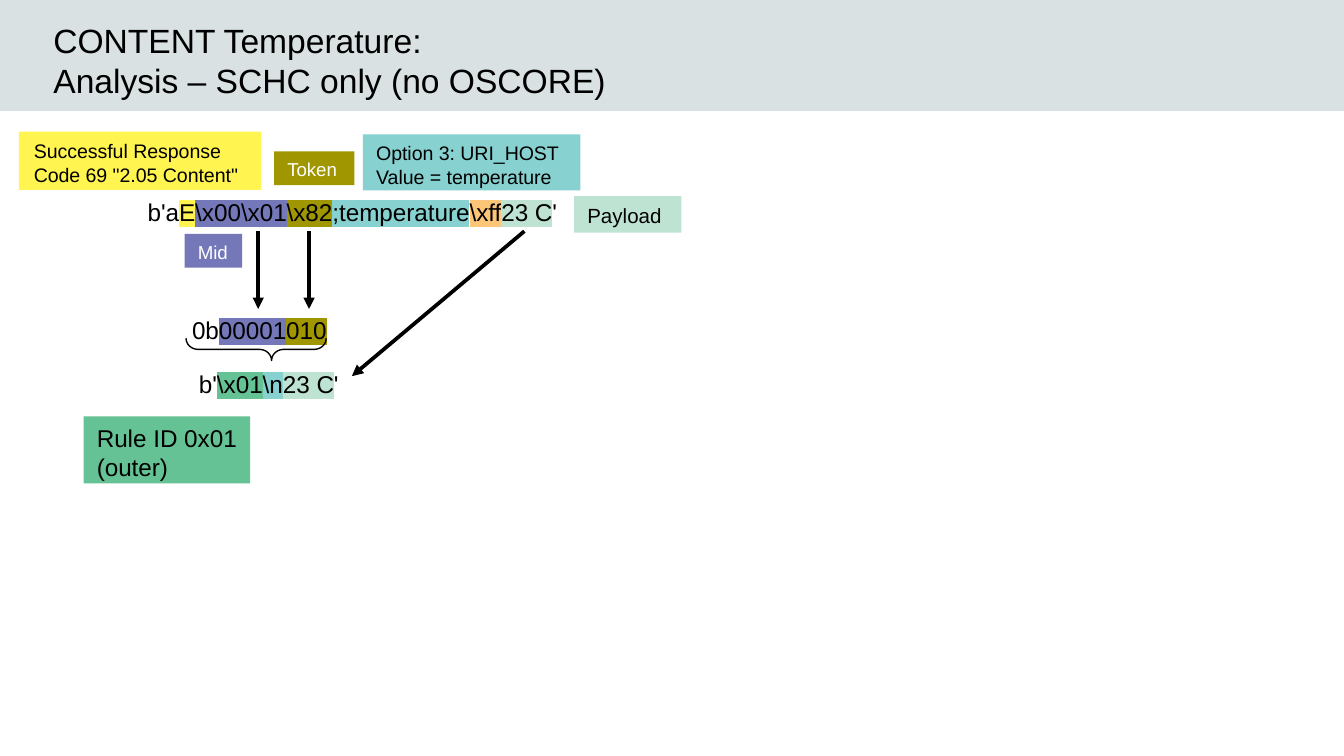
from lxml.etree import SubElement
from pptx import Presentation
from pptx.dml.color import RGBColor
from pptx.enum.shapes import MSO_CONNECTOR, MSO_SHAPE
from pptx.enum.text import MSO_ANCHOR, PP_ALIGN
from pptx.oxml.ns import qn
from pptx.util import Cm, Pt

BLACK = RGBColor(0x00, 0x00, 0x00)
WHITE = RGBColor(0xFF, 0xFF, 0xFF)
BAND = RGBColor(0xD9, 0xE1, 0xE2)
CODE = RGBColor(0xFF, 0xF4, 0x50)
MID = RGBColor(0x74, 0x77, 0xB8)
TOKEN = RGBColor(0xA0, 0x96, 0x00)
OPTION = RGBColor(0x87, 0xD1, 0xD1)
MARKER = RGBColor(0xFD, 0xC5, 0x78)
PAYLOAD = RGBColor(0xBE, 0xE3, 0xD3)
RULE = RGBColor(0x65, 0xC2, 0x95)

FONT = "Arial"


def place(box):
    return [Cm(length) for length in box]


def prepare_frame(shape, inset=0.25):
    frame = shape.text_frame
    frame.word_wrap = True
    frame.vertical_anchor = MSO_ANCHOR.TOP
    frame.margin_left = Cm(inset)
    frame.margin_right = 0
    frame.margin_top = frame.margin_bottom = Cm(inset / 2)
    return frame


def style_run(run, size, color=BLACK, highlight=None):
    run.font.size = Pt(size)
    run.font.color.rgb = color
    if highlight is not None:
        mark = SubElement(run.font._element, qn("a:highlight"))
        SubElement(mark, qn("a:srgbClr"), val=str(highlight))
    run.font.name = FONT


def write_lines(frame, text, size, color=BLACK):
    frame.text = text
    for paragraph in frame.paragraphs:
        paragraph.alignment = PP_ALIGN.LEFT
        for run in paragraph.runs:
            style_run(run, size, color)


def add_block(slide, box, fill):
    block = slide.shapes.add_shape(MSO_SHAPE.RECTANGLE, *place(box))
    block.shadow.inherit = False
    block.fill.solid()
    block.fill.fore_color.rgb = fill
    block.line.fill.background()
    return block


def add_label(slide, box, text, fill, size, color=BLACK, inset=0.25):
    label = add_block(slide, box, fill)
    write_lines(prepare_frame(label, inset), text, size, color)


def add_bytes(slide, box, pieces):
    """One line of bytes, each field highlighted in its own colour."""
    line = prepare_frame(slide.shapes.add_textbox(*place(box))).paragraphs[0]
    for text, highlight in pieces:
        run = line.add_run()
        run.text = text
        style_run(run, 13, highlight=highlight)


def add_arrow(slide, start, end):
    arrow = slide.shapes.add_connector(
        MSO_CONNECTOR.STRAIGHT, *place(start), *place(end))
    arrow.line.color.rgb = BLACK
    arrow.line.width = Pt(0)
    SubElement(arrow.line._get_or_add_ln(), qn("a:tailEnd"), type="triangle")
    SubElement(arrow._element.spPr, qn("a:effectLst"))


def add_header(slide, left, top, width, height):
    add_block(slide, (left, top, width, height), BAND)
    title = slide.shapes.add_textbox(
        *place((left + 0.76, top + 0.25, width - 4.06, 2.39)))
    write_lines(prepare_frame(title),
                "CONTENT Temperature:\nAnalysis – SCHC only (no OSCORE)", 18)


def add_message(slide, left, top):
    """The uncompressed message with its field labels."""
    add_bytes(slide, (left + 2.18, top + 1.12, 8.43, 0.76), [
        ("b'a", None), ("E", CODE), ("\\x00\\x01", MID), ("\\x82", TOKEN),
        (";temperature", OPTION), ("\\xff", MARKER), ("23 C", PAYLOAD),
        ("'", None)])
    add_label(slide, (left, top, 4.57, 1.1),
              "Successful Response\nCode 69 \"2.05 Content\"", CODE, 10.5,
              inset=0.28)
    add_label(slide, (left + 3.13, top + 1.93, 1.09, 0.64),
              "Mid", MID, 10, WHITE)
    add_label(slide, (left + 4.82, top + 0.37, 1.52, 0.64),
              "Token", TOKEN, 10, WHITE)
    add_label(slide, (left + 6.5, top + 0.05, 4.11, 1.06),
              "Option 3: URI_HOST\nValue = temperature", OPTION, 10.5)
    add_label(slide, (left + 10.49, top + 1.22, 2.03, 0.69),
              "Payload", PAYLOAD, 11)


def add_compressed(slide, left, top):
    """The residue bits, the compressed message and its rule."""
    add_bytes(slide, (left + 1.93, top + 1.02, 3.15, 0.76), [
        ("b'", None), ("\\x01", RULE), ("\\n", OPTION), ("23 C", PAYLOAD),
        ("'", None)])
    add_label(slide, (left, top + 2.03, 3.15, 1.27),
              "Rule ID 0x01\n(outer)", RULE, 13)
    add_bytes(slide, (left + 1.8, top, 3.28, 0.76), [
        ("0b", None), ("00001", MID), ("010", TOKEN)])

    # Brace gathering the bits into one byte
    brace = slide.shapes.add_shape(
        MSO_SHAPE.RIGHT_BRACE, *place((left + 3.05, top - 0.56, 0.42, 2.65)))
    brace.rotation = 90
    brace.adjustments[0] = 0.54
    brace.adjustments[1] = 0.39
    brace.shadow.inherit = False
    brace.fill.background()
    brace.line.color.rgb = BLACK
    brace.line.width = Pt(0)


def add_mapping(slide, top, bottom):
    """Arrows from the message fields to where they end up."""
    for x in (4.88, 5.84):
        add_arrow(slide, (x, top), (x, bottom))
    add_arrow(slide, (9.91, top), (6.65, bottom + 1.27))


def main():
    deck = Presentation()
    deck.slide_width, deck.slide_height = Cm(25.4), Cm(14.29)
    slide = deck.slides.add_slide(deck.slide_layouts[6])
    add_header(slide, 0, 0, 25.4, 2.1)
    add_message(slide, 0.36, 2.49)
    add_compressed(slide, 1.58, 5.84)
    add_mapping(slide, 4.37, 5.84)
    deck.save("out.pptx")


if __name__ == "__main__":
    main()
